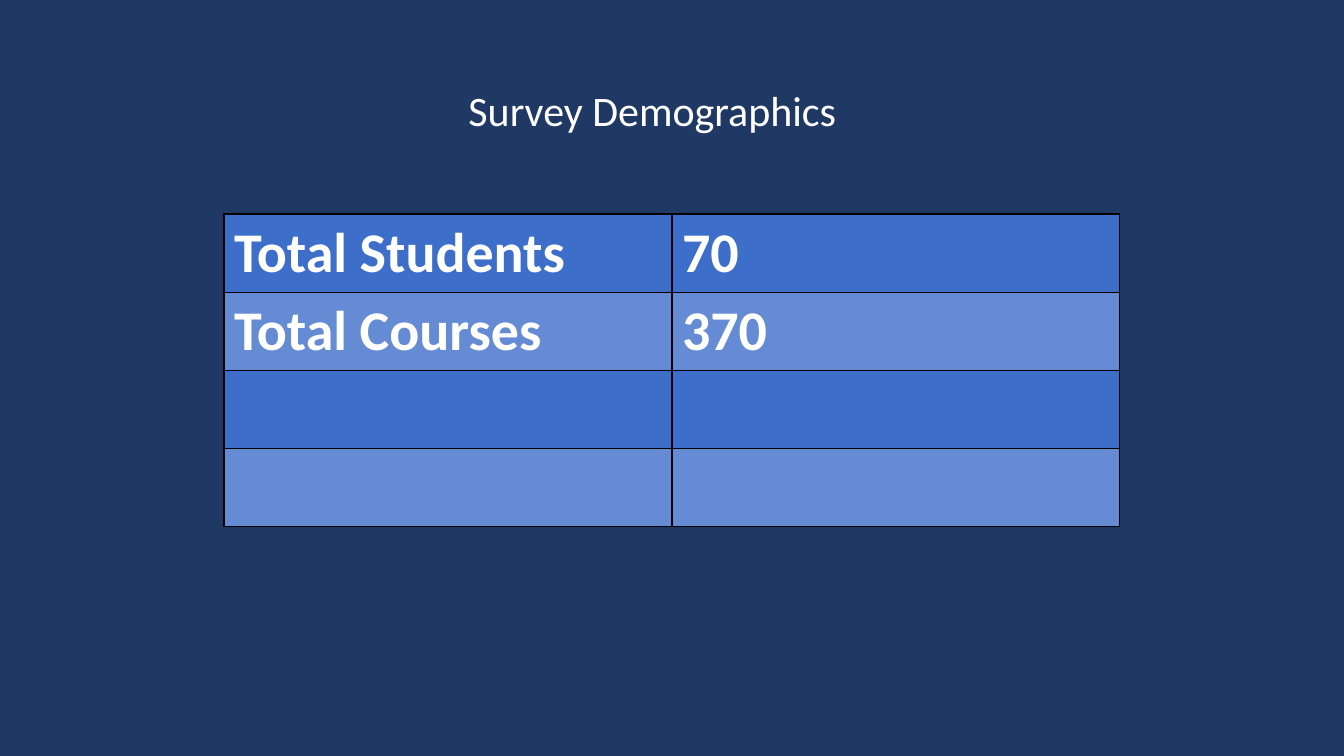
from lxml.etree import SubElement as Sub
from pptx import Presentation
from pptx.dml.color import RGBColor as RGB
from pptx.enum.text import MSO_ANCHOR as Anchor, PP_ALIGN as Align
from pptx.oxml.ns import qn
from pptx.util import Pt

PX = 914400 / 100.8
NAVY = RGB(0x20, 0x38, 0x64)
BLUE = RGB(0x3D, 0x6E, 0xC9)
LIGHT = RGB(0x64, 0x8B, 0xD4)
WHITE = RGB(0xFF, 0xFF, 0xFF)
BLACK = RGB(0, 0, 0)


def px(n):
    return round(n * PX)


class Page:
    font = "Calibri"

    def __init__(self, deck):
        self.slide = deck.slides.add_slide(deck.slide_layouts[5])
        back = self.slide.background.fill
        back.solid()
        back.fore_color.rgb = NAVY

    def style(self, para, size, bold=False):
        for run in para.runs:
            font = run.font
            font.name, font.size, font.bold = self.font, Pt(size), bold
            font.color.rgb = WHITE

    def title(self, text, x, y, w, h, shift):
        box = self.slide.shapes.title
        box.left, box.top, box.width, box.height = map(px, (x, y, w, h))
        frame = box.text_frame
        frame.text = text
        frame.word_wrap = True
        frame.vertical_anchor = Anchor.MIDDLE
        # A wider right inset moves the centred text left
        frame.margin_right = px(10 + 2 * shift)
        para = frame.paragraphs[0]
        para.alignment = Align.CENTER
        para.line_spacing = 0.9
        self.style(para, 30)

    def border(self, cell):
        props = cell._tc.get_or_add_tcPr()
        for side in ("lnL", "lnR", "lnT", "lnB"):
            line = Sub(props, qn(f"a:{side}"), w=str(Pt(1)))
            fill = Sub(line, qn("a:solidFill"))
            Sub(fill, qn("a:srgbClr"), val=str(BLACK))

    def table(self, data, x, y, w, row):
        size = map(px, (x, y, w, row * len(data)))
        grid = self.slide.shapes.add_table(len(data), len(data[0]), *size).table
        for r, texts in enumerate(data):
            grid.rows[r].height = px(row)
            for c, text in enumerate(texts):
                cell = grid.cell(r, c)
                self.border(cell)
                cell.fill.solid()
                cell.fill.fore_color.rgb = LIGHT if r % 2 else BLUE
                if text:
                    cell.text_frame.text = text
                    self.style(cell.text_frame.paragraphs[0], 40, True)


def main():
    deck = Presentation()
    deck.slide_width, deck.slide_height = px(1344), px(756)
    page = Page(deck)

    # Heading
    page.title("Survey Demographics", 93, 40, 1159, 146, shift=20)

    # Survey totals, with two rows left empty
    totals = [
        ("Total Students", "70"),
        ("Total Courses", "370"),
        ("", ""),
        ("", ""),
    ]
    page.table(totals, 224, 214, 896, row=78)

    deck.save("out.pptx")


if __name__ == "__main__":
    main()
